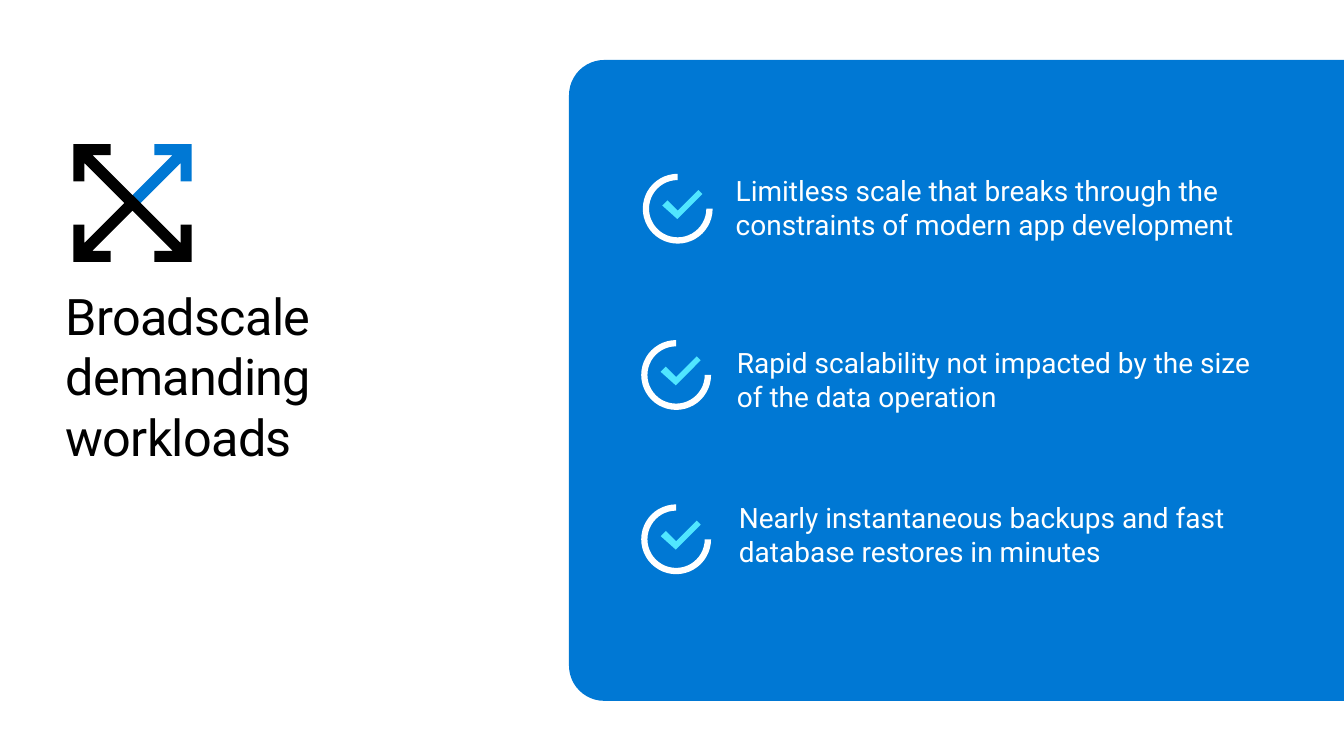
from dataclasses import dataclass

from lxml import etree
from pptx import Presentation
from pptx.dml.color import RGBColor
from pptx.enum.shapes import MSO_SHAPE
from pptx.enum.text import MSO_ANCHOR, MSO_AUTO_SIZE, PP_ALIGN
from pptx.oxml.ns import qn
from pptx.util import Cm, Pt

BLUE = RGBColor(0x00, 0x78, 0xD4)
CYAN = RGBColor(0x50, 0xE6, 0xFF)
WHITE = RGBColor(0xFF, 0xFF, 0xFF)
BLACK = RGBColor(0x00, 0x00, 0x00)

TOP, MIDDLE = MSO_ANCHOR.TOP, MSO_ANCHOR.MIDDLE
LEFT = PP_ALIGN.LEFT
GROW = MSO_AUTO_SIZE.SHAPE_TO_FIT_TEXT
PANEL_SHAPE = MSO_SHAPE.ROUND_2_SAME_RECTANGLE
ARC = MSO_SHAPE.BLOCK_ARC

FONT = "Roboto"
COMPARISON_LAYOUT = 4
RING_SIZE = 1.76
# Tick outline, measured from the top left of its ring
TICK = [(0.49, 0.8), (0.62, 0.67), (0.88, 0.93), (1.4, 0.41), (1.5, 0.51), (0.87, 1.14)]
# Arrow outline, measured inwards from its corner of the icon
ARROW = [(0, 0), (0.94, 0), (0.94, 0.28), (0.48, 0.28), (1.68, 1.48),
         (1.48, 1.68), (0.28, 0.48), (0.28, 0.94), (0, 0.94)]


@dataclass
class Benefit:
    text: str
    placeholder: int
    box: tuple[float, float, float, float]
    ring: tuple[float, float]
    anchor: MSO_ANCHOR = TOP


@dataclass
class Arrow:
    corner: tuple[float, float]
    inward: tuple[int, int]
    color: RGBColor = BLACK


BENEFITS = [
    Benefit("Limitless scale that breaks through the constraints of modern app development",
            1, (18.54, 4.37, 14.5, 1.7), (16.2, 4.38), MIDDLE),
    Benefit("Rapid scalability not impacted by the size of the data operation",
            2, (18.57, 8.71, 13, 1.7), (16.16, 8.57)),
    Benefit("Nearly instantaneous backups and fast database restores in minutes",
            3, (18.62, 12.62, 14.07, 1.7), (16.16, 12.71)),
]
ARROWS = [
    Arrow((4.83, 3.63), (-1, 1), BLUE),
    Arrow((4.83, 6.6), (-1, -1)),
    Arrow((1.85, 6.6), (1, -1)),
    Arrow((1.85, 3.63), (1, 1)),
]


def paint(shape, color: RGBColor) -> None:
    shape.shadow.inherit = False
    shape.fill.solid()
    shape.fill.fore_color.rgb = color
    shape.line.fill.background()


def add_preset(slide, kind, box: tuple, color: RGBColor):
    shape = slide.shapes.add_shape(kind, *map(Cm, box))
    paint(shape, color)
    return shape


def add_outline(slide, outline: list, origin: tuple, color: RGBColor, inward: tuple = (1, 1)) -> None:
    points = [(Cm(origin[0] + inward[0] * x), Cm(origin[1] + inward[1] * y)) for x, y in outline]
    builder = slide.shapes.build_freeform(*points[0])
    builder.add_line_segments(points[1:])
    paint(builder.convert_to_shape(), color)


def fill_placeholder(shape, text: str, box: tuple, size: int, color: RGBColor, anchor: MSO_ANCHOR):
    shape.left, shape.top, shape.width, shape.height = map(Cm, box)
    frame = shape.text_frame
    frame.text = text
    frame.word_wrap = True
    frame.auto_size = GROW
    frame.vertical_anchor = anchor
    frame.margin_left = frame.margin_top = frame.margin_right = frame.margin_bottom = 0
    paragraph = frame.paragraphs[0]
    properties = paragraph._p.get_or_add_pPr()
    properties.set("marL", "0")
    properties.set("indent", "0")
    etree.SubElement(properties, qn("a:buNone"))
    paragraph.alignment = LEFT
    paragraph.space_before = Pt(0)
    paragraph.font.name = FONT
    paragraph.font.size = Pt(size)
    paragraph.font.bold = False
    paragraph.font.color.rgb = color
    return paragraph


def add_panel(slide) -> None:
    panel = add_preset(slide, PANEL_SHAPE, (16.03, -0.18, 16.15, 19.53), BLUE)
    panel.rotation = 270
    panel.adjustments[0] = 0.055
    panel.adjustments[1] = 0
    slide.shapes._spTree.insert(2, panel._element)  # behind the placeholders


def add_benefit(slide, benefit: Benefit) -> None:
    fill_placeholder(slide.placeholders[benefit.placeholder], benefit.text,
                     benefit.box, 20, WHITE, benefit.anchor)
    ring = add_preset(slide, ARC, (*benefit.ring, RING_SIZE, RING_SIZE), WHITE)
    ring.adjustments[0] = 0
    ring.adjustments[1] = 162  # 270 degrees
    ring.adjustments[2] = 0.09
    add_outline(slide, TICK, benefit.ring, CYAN)


def main() -> None:
    presentation = Presentation()
    presentation.slide_width, presentation.slide_height = Cm(33.87), Cm(19.05)
    slide = presentation.slides.add_slide(presentation.slide_layouts[COMPARISON_LAYOUT])
    unused = slide.placeholders[4]._element
    unused.getparent().remove(unused)

    # Panel with the benefits
    add_panel(slide)
    for benefit in BENEFITS:
        add_benefit(slide, benefit)

    # Title and scale icon
    title = fill_placeholder(slide.shapes.title, "Broadscale demanding workloads",
                             (1.65, 6.83, 10.9, 5.28), 36, BLACK, MIDDLE)
    title.runs[0]._r.get_or_add_rPr().set("spc", "-50")
    for arrow in ARROWS:
        add_outline(slide, ARROW, arrow.corner, arrow.color, arrow.inward)

    presentation.save("out.pptx")


if __name__ == "__main__":
    main()
